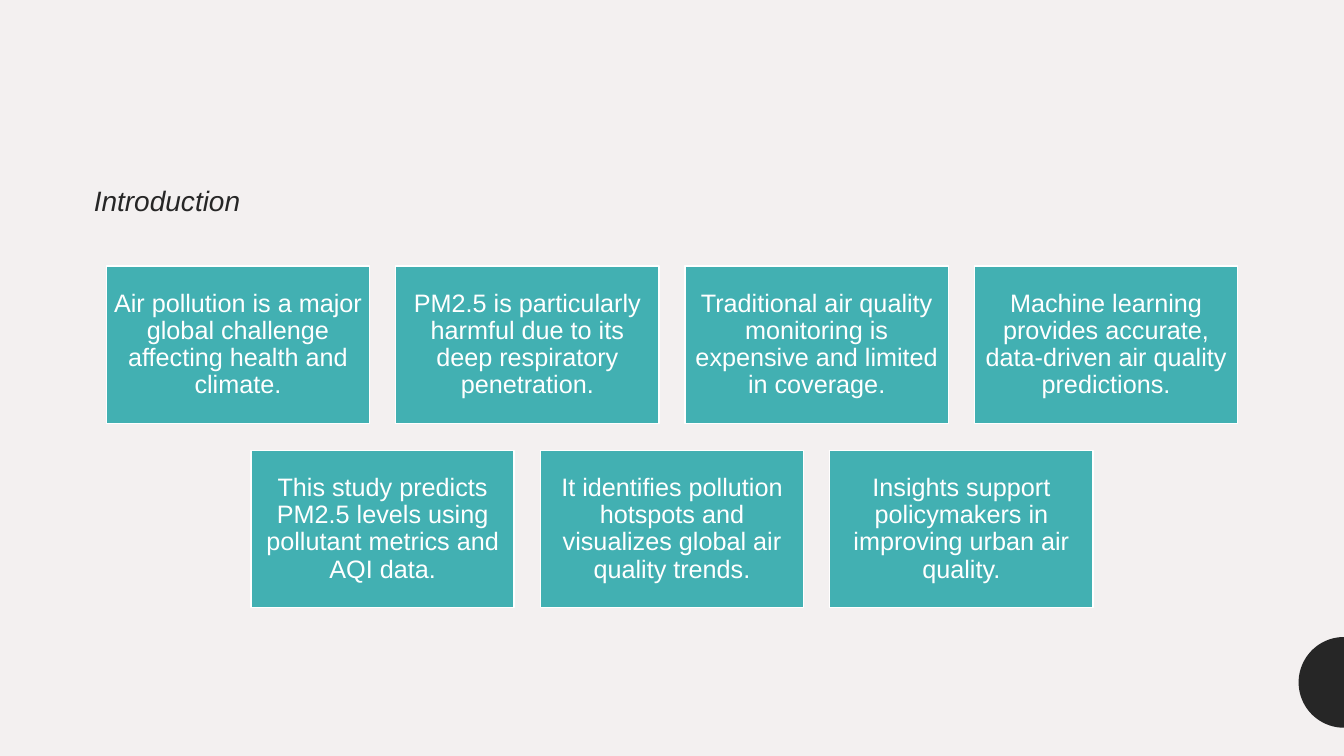
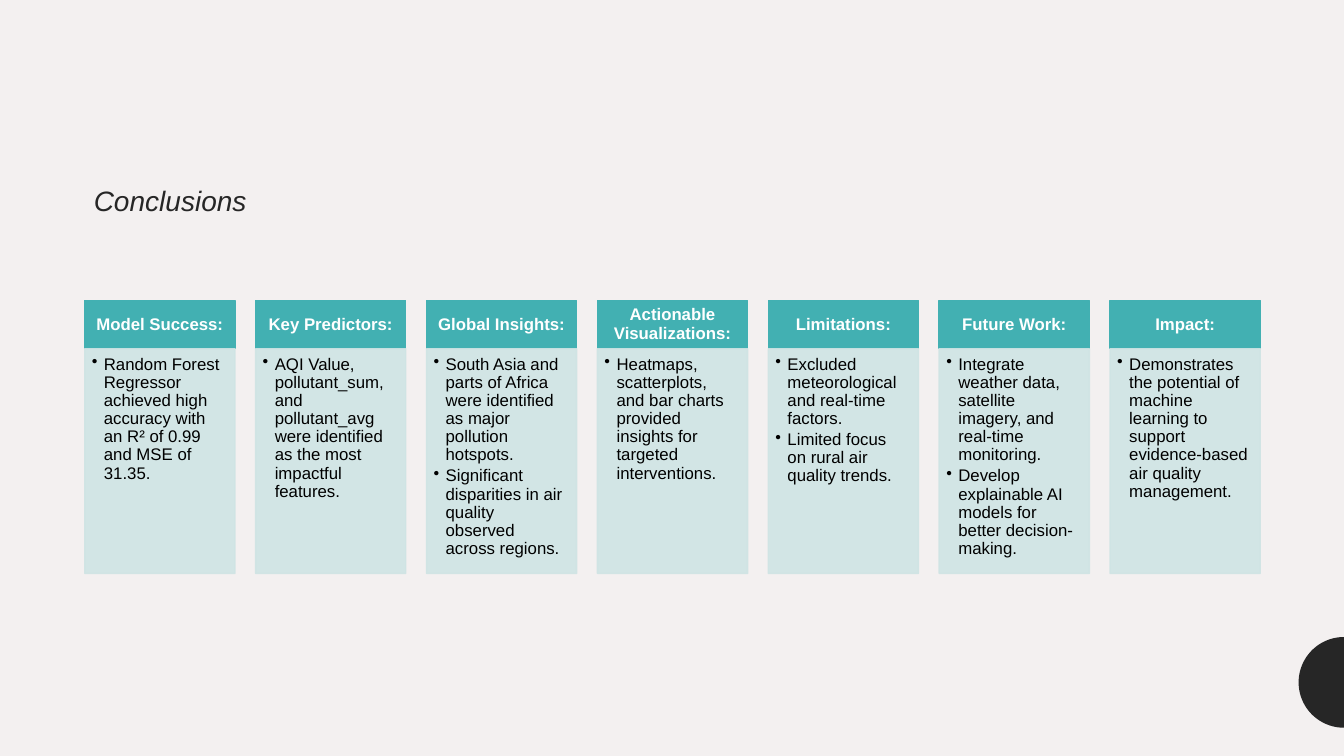
from math import cos, pi, sin

from lxml.etree import SubElement
from pptx import Presentation
from pptx.dml.color import RGBColor
from pptx.enum.shapes import MSO_SHAPE as Preset
from pptx.enum.text import MSO_ANCHOR as Anchor, MSO_AUTO_SIZE as AutoSize, PP_ALIGN as Align
from pptx.oxml.ns import qn
from pptx.util import Inches, Pt

BACKGROUND = RGBColor(0xF3, 0xF0, 0xF0)
DARK = RGBColor(0x26, 0x26, 0x26)
TEAL = RGBColor(0x42, 0xB0, 0xB2)
PALE_TEAL = RGBColor(0xCF, 0xE4, 0xE4)
WHITE = RGBColor(0xFF, 0xFF, 0xFF)
BLACK = RGBColor(0x00, 0x00, 0x00)
FONT = "Arial"
SLIDE_WIDTH = 13.33

INTRODUCTION_ROWS = [
    (2.64, [
        "Air pollution is a major global challenge affecting health and climate.",
        "PM2.5 is particularly harmful due to its deep respiratory penetration.",
        "Traditional air quality monitoring is expensive and limited in coverage.",
        "Machine learning provides accurate, data-driven air quality predictions.",
    ]),
    (4.47, [
        "This study predicts PM2.5 levels using pollutant metrics and AQI data.",
        "It identifies pollution hotspots and visualizes global air quality trends.",
        "Insights support policymakers in improving urban air quality.",
    ]),
]

CONCLUSIONS = [
    ("Model Success:", [
        "Random Forest Regressor achieved high accuracy with an R² of 0.99 and MSE of 31.35.",
    ]),
    ("Key Predictors:", [
        "AQI Value, pollutant_sum, and pollutant_avg were identified as the most impactful features.",
    ]),
    ("Global Insights:", [
        "South Asia and parts of Africa were identified as major pollution hotspots.",
        "Significant disparities in air quality observed across regions.",
    ]),
    ("Actionable Visualizations:", [
        "Heatmaps, scatterplots, and bar charts provided insights for targeted interventions.",
    ]),
    ("Limitations:", [
        "Excluded meteorological and real-time factors.",
        "Limited focus on rural air quality trends.",
    ]),
    ("Future Work:", [
        "Integrate weather data, satellite imagery, and real-time monitoring.",
        "Develop explainable AI models for better decision-making.",
    ]),
    ("Impact:", [
        "Demonstrates the potential of machine learning to support evidence-based air quality management.",
    ]),
]


def add_titled_slide(prs, heading):
    slide = prs.slides.add_slide(prs.slide_layouts[5])
    radius, center_y, steps = 0.45, 6.77, 48
    arc = [
        (Inches(SLIDE_WIDTH - radius * sin(pi * i / steps)),
         Inches(center_y - radius * cos(pi * i / steps)))
        for i in range(steps + 1)
    ]
    outline = slide.shapes.build_freeform(*arc[0])
    outline.add_line_segments(arc[1:], close=True)
    half_disc = outline.convert_to_shape()
    half_disc.shadow.inherit = False
    half_disc.fill.solid()
    half_disc.fill.fore_color.rgb = DARK
    half_disc.line.fill.background()

    title = slide.shapes.title
    title.left, title.top = Inches(0.83), Inches(1.52)
    title.width, title.height = Inches(11.67), Inches(0.9)
    frame = title.text_frame
    frame.text = heading
    frame.auto_size = AutoSize.NONE
    frame.vertical_anchor = Anchor.MIDDLE
    paragraph = frame.paragraphs[0]
    paragraph.alignment = Align.LEFT
    paragraph.line_spacing = 1.1
    paragraph.space_before = paragraph.space_after = Pt(4)
    paragraph.font.name, paragraph.font.size = FONT, Pt(20)
    paragraph.font.italic = True
    paragraph.font.color.rgb = DARK
    return slide


def add_panel(slide, box, fill, border, texts, size, color, margins):
    panel = slide.shapes.add_shape(Preset.RECTANGLE, *map(Inches, box))
    panel.shadow.inherit = False
    panel.fill.solid()
    panel.fill.fore_color.rgb = fill
    panel.line.color.rgb = border
    panel.line.width = Pt(1)
    frame = panel.text_frame
    frame.word_wrap = True
    frame.vertical_anchor = Anchor.MIDDLE
    frame.margin_left, frame.margin_top, frame.margin_right, frame.margin_bottom = map(Inches, margins)
    frame.text = "\n".join(texts)
    for paragraph in frame.paragraphs:
        paragraph.alignment = Align.CENTER
        paragraph.line_spacing = 0.9
        paragraph.font.name, paragraph.font.size = FONT, Pt(size)
        paragraph.font.color.rgb = color
    return panel


prs = Presentation()
prs.slide_width, prs.slide_height = Inches(SLIDE_WIDTH), Inches(7.5)
prs.slide_master.background.fill.solid()
prs.slide_master.background.fill.fore_color.rgb = BACKGROUND

introduction = add_titled_slide(prs, "Introduction")
card_width, card_height, card_gap = 2.61, 1.56, 0.26
for top, statements in INTRODUCTION_ROWS:
    row_width = len(statements) * (card_width + card_gap) - card_gap
    row_left = (SLIDE_WIDTH - row_width) / 2
    for i, statement in enumerate(statements):
        left = row_left + i * (card_width + card_gap)
        add_panel(introduction, (left, top, card_width, card_height), TEAL, WHITE,
                  [statement], 18, WHITE, (0.07, 0.07, 0.07, 0.07))

conclusions = add_titled_slide(prs, "Conclusions")
first_left, last_left, column_width = 0.84, 11.01, 1.49
column_pitch = (last_left - first_left) / (len(CONCLUSIONS) - 1)
for i, (topic, findings) in enumerate(CONCLUSIONS):
    left = first_left + i * column_pitch
    header = add_panel(conclusions, (left, 2.98, column_width, 0.48), TEAL, TEAL,
                       [topic], 12, WHITE, (0.09, 0.05, 0.09, 0.05))
    header.text_frame.paragraphs[0].font.bold = True

    details = add_panel(conclusions, (left, 3.46, column_width, 2.23), PALE_TEAL, PALE_TEAL,
                        findings, 12, BLACK, (0.07, 0.07, 0.09, 0.1))
    for tint in details.element.spPr.iter(qn("a:srgbClr")):
        SubElement(tint, qn("a:alpha"), val="90000")
    details.text_frame.vertical_anchor = Anchor.TOP
    for paragraph in details.text_frame.paragraphs:
        paragraph.alignment = Align.LEFT
        paragraph.space_after = Pt(2)
        properties = paragraph._p.get_or_add_pPr()
        properties.set("marL", str(Inches(0.12)))
        properties.set("indent", str(-Inches(0.12)))
        bullet = properties.makeelement(qn("a:buChar"), {"char": "•"})
        properties.find(qn("a:defRPr")).addprevious(bullet)

prs.save("out.pptx")
